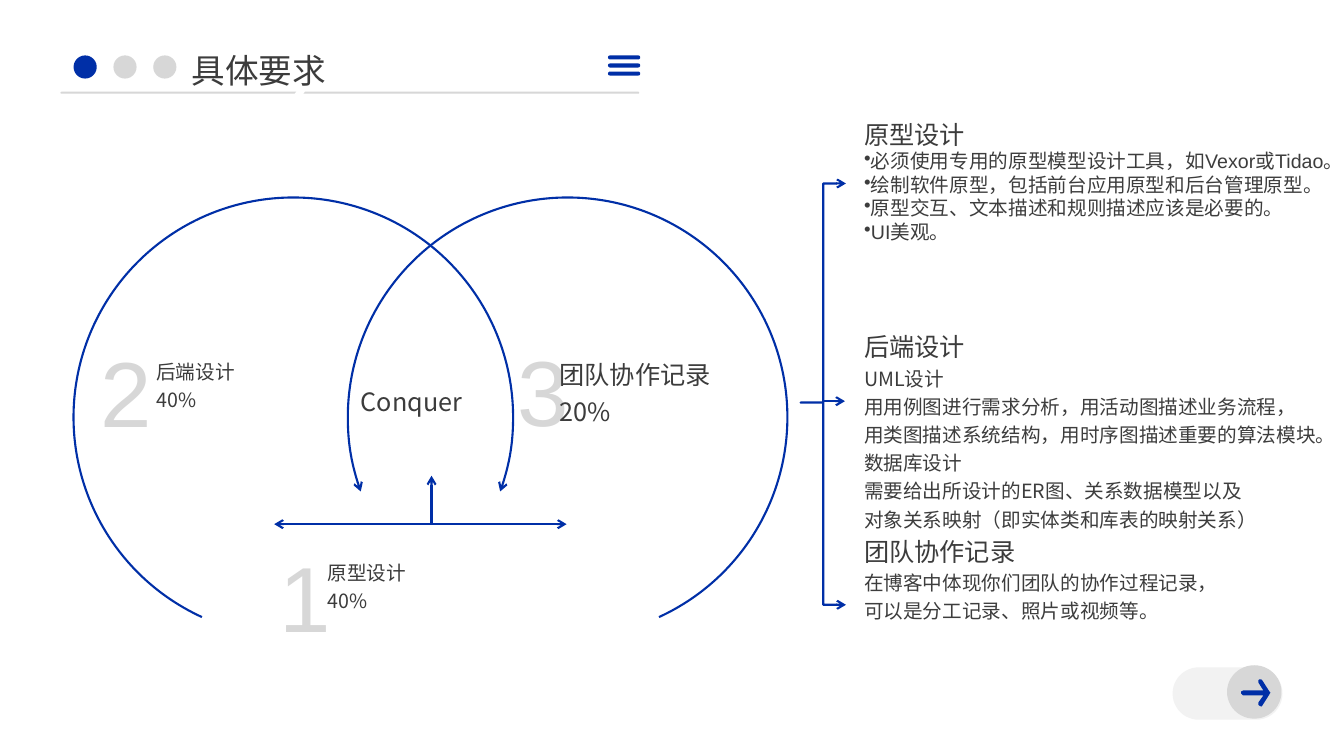
from dataclasses import dataclass
import pptx
import pptx.util
import pptx.dml.color
import pptx.enum.shapes
import pptx.enum.text
import pptx.oxml.ns
import lxml.etree

Inches = pptx.util.Inches
Kind = pptx.enum.shapes.MSO_SHAPE
qn = pptx.oxml.ns.qn


@dataclass(frozen=True)
class Theme:
    blue: str = "002FA7"
    gray: str = "D7D7D7"
    pale: str = "F2F2F2"
    white: str = "FFFFFF"
    ink: str = "3C3C3C"
    body: str = "3D3D3D"
    sans: str = "Arial"
    cjk: str = "Noto Sans CJK SC"
    title: int = 24
    digit: int = 66
    head: int = 18
    small: int = 14
    stroke: float = 1.5


T = Theme()


@dataclass(frozen=True)
class Row:
    text: str
    size: int = T.small
    color: str = T.ink
    font: str = T.cjk
    bullet: bool = False


@dataclass(frozen=True)
class Block:
    left: float
    top: float
    width: float
    height: float
    rows: tuple[Row, ...]


@dataclass(frozen=True)
class Solid:
    kind: Kind
    left: float
    top: float
    width: float
    height: float
    color: str


@dataclass(frozen=True)
class Curve:
    kind: Kind
    left: float
    top: float
    width: float
    height: float
    turns: tuple[float, float]
    flip: bool = False
    head: bool = False


@dataclass(frozen=True)
class Arrow:
    start: tuple[float, float]
    end: tuple[float, float]
    head: bool = False


@dataclass(frozen=True)
class Outline:
    points: tuple[tuple[float, float], ...]
    color: str


def rgb(code: str) -> pptx.dml.color.RGBColor:
    return pptx.dml.color.RGBColor.from_string(code)


def paint(shape, color: str) -> None:
    shape.shadow.inherit = False
    shape.fill.solid()
    shape.fill.fore_color.rgb = rgb(color)
    shape.line.fill.background()


def ink_line(shape, head: bool) -> None:
    shape.line.color.rgb = rgb(T.blue)
    shape.line.width = pptx.util.Pt(T.stroke)
    line = shape._element.spPr.find(qn("a:ln"))
    for tag in ("a:headEnd", "a:tailEnd") if head else ("a:tailEnd",):
        lxml.etree.SubElement(line, qn(tag), type="arrow")


def add_solid(slide, item: Solid):
    shape = slide.shapes.add_shape(
        item.kind, *map(Inches, (item.left, item.top, item.width, item.height)))
    paint(shape, item.color)
    if item.kind == Kind.ROUNDED_RECTANGLE:
        shape.adjustments[0] = 0.5
    return shape


def add_outline(slide, item: Outline) -> None:
    first, *rest = [(Inches(x), Inches(y)) for x, y in item.points]
    pen = slide.shapes.build_freeform(*first)
    pen.add_line_segments(rest, close=True)
    paint(pen.convert_to_shape(), item.color)


def add_curve(slide, item: Curve) -> None:
    shape = slide.shapes.add_shape(
        item.kind, *map(Inches, (item.left, item.top, item.width, item.height)))
    shape.shadow.inherit = False
    shape.fill.background()
    for spot, turn in enumerate(item.turns):
        shape.adjustments[spot] = turn
    if item.flip:
        shape._element.spPr.find(qn("a:xfrm")).set("flipH", "1")
    ink_line(shape, item.head)


def add_arrow(slide, item: Arrow) -> None:
    line = slide.shapes.add_connector(
        pptx.enum.shapes.MSO_CONNECTOR.STRAIGHT, *map(Inches, item.start + item.end))
    ink_line(line, item.head)
    lxml.etree.SubElement(line._element.spPr, qn("a:effectLst"))


def add_block(slide, item: Block) -> None:
    box = slide.shapes.add_textbox(
        *map(Inches, (item.left, item.top, item.width, item.height)))
    frame = box.text_frame
    frame.margin_left = frame.margin_right = frame.margin_top = frame.margin_bottom = 0
    frame.word_wrap = False
    frame.auto_size = pptx.enum.text.MSO_AUTO_SIZE.SHAPE_TO_FIT_TEXT
    frame.text = "\n".join(row.text for row in item.rows)
    for line, row in zip(frame.paragraphs, item.rows):
        if row.bullet:
            lxml.etree.SubElement(line._p.get_or_add_pPr(), qn("a:buChar"), char="•")
        else:
            line.line_spacing = 1.2
        for run in line.runs:
            run.font.size = pptx.util.Pt(row.size)
            run.font.color.rgb = rgb(row.color)
            run.font.name = row.font
            lxml.etree.SubElement(run.font._element, qn("a:ea"), typeface=T.cjk)


def point(text: str) -> Row:
    return Row(text, color=T.body, font=T.sans, bullet=True)


def body(text: str) -> Row:
    return Row(text, color=T.body)


def digit(left: float, top: float, text: str) -> Block:
    return Block(left, top, 1, 1, (Row(text, T.digit, T.gray, T.sans),))


RULE = Solid(Kind.ROUNDED_RECTANGLE, 0.6, 0.91, 5.74, 0.02, T.gray)
DOTS = [Solid(Kind.OVAL, 0.73 + 0.395 * n, 0.55, 0.23, 0.23, color)
        for n, color in enumerate((T.blue, T.gray, T.gray))]
BARS = [Solid(Kind.ROUNDED_RECTANGLE, 6.03, 0.55 + 0.08 * n, 0.32, 0.04, T.blue)
        for n in range(3)]
TRACK = Solid(Kind.ROUNDED_RECTANGLE, 11.63, 6.62, 1.09, 0.52, T.pale)
KNOB = Solid(Kind.OVAL, 12.17, 6.6, 0.54, 0.53, T.gray)
CHECK = Outline(((2.86, 1.12), (2.84, 1.11), (2.76, 1), (2.75, 0.98), (2.76, 0.96),
                 (2.79, 0.95), (2.81, 0.96), (2.86, 1.03), (2.99, 0.83), (3.01, 0.82),
                 (3.04, 0.82), (3.05, 0.84), (3.05, 0.87), (2.89, 1.11)), T.white)
NEXT = Outline(((12.59, 6.86), (12.52, 6.75), (12.51, 6.74), (12.49, 6.74), (12.48, 6.75),
                (12.48, 6.77), (12.53, 6.85), (12.33, 6.85), (12.31, 6.86), (12.31, 6.88),
                (12.33, 6.9), (12.53, 6.9), (12.48, 6.97), (12.48, 6.99), (12.49, 7),
                (12.51, 7.01), (12.52, 7), (12.59, 6.89), (12.6, 6.87)), T.blue)
CURVES = [Curve(Kind.ARC, left, 1.96, 4.36, 4.36, (68.74, 11.85), flip)
          for left, flip in ((0.73, False), (3.45, True))]
CURVES.append(Curve(Kind.LEFT_BRACE, 7.94, 1.82, 0.45, 4.18, (0, 0.52), head=True))
ARROWS = [Arrow((2.72, 5.2), (5.62, 5.2), True),
          Arrow((4.28, 5.2), (4.28, 4.72)),
          Arrow((8.16, 3.98), (8.38, 3.98))]
BLOCKS = [
    Block(1.9, 0.42, 1.35, 0.44, (Row("具体要求", T.title),)),
    Block(3.58, 3.77, 1.04, 0.33, (Row("Conquer", T.head),)),
    digit(2.77, 5.14, "1"), digit(1, 3.11, "2"), digit(5.13, 3.1, "3"),
    Block(3.25, 5.52, 0.79, 0.54, (Row("原型设计"), Row("40%"))),
    Block(1.55, 3.52, 0.79, 0.54, (Row("后端设计"), Row("40%"))),
    Block(5.55, 3.51, 1.51, 0.7, (Row("团队协作记录", T.head), Row("20%", T.head))),
    Block(8.57, 1.12, 4.84, 1.31, (
        Row("原型设计", T.head),
        point("必须使用专用的原型模型设计工具，如Vexor或Tidao。"),
        point("绘制软件原型，包括前台应用原型和后台管理原型。"),
        point("原型交互、文本描述和规则描述应该是必要的。"),
        point("UI美观。"))),
    Block(8.57, 3.23, 4.71, 2.04, (
        Row("后端设计", T.head), Row("UML设计"),
        body("用用例图进行需求分析，用活动图描述业务流程，"),
        body("用类图描述系统结构，用时序图描述重要的算法模块。"),
        Row("数据库设计"),
        body("需要给出所设计的ER图、关系数据模型以及"),
        body("对象关系映射（即实体类和库表的映射关系）"))),
    Block(8.57, 5.26, 3.53, 0.91, (
        Row("团队协作记录", T.head),
        body("在博客中体现你们团队的协作过程记录，"),
        body("可以是分工记录、照片或视频等。"))),
]


def main() -> None:
    deck = pptx.Presentation()
    deck.slide_width, deck.slide_height = Inches(13.33), Inches(7.5)
    slide = deck.slides.add_slide(deck.slide_layouts[6])
    for item in (RULE, *DOTS, *BARS, TRACK, KNOB):
        add_solid(slide, item)
    for item in (CHECK, NEXT):
        add_outline(slide, item)
    for item in CURVES:
        add_curve(slide, item)
    for item in ARROWS:
        add_arrow(slide, item)
    for item in BLOCKS:
        add_block(slide, item)
    deck.save("out.pptx")


if __name__ == "__main__":
    main()
